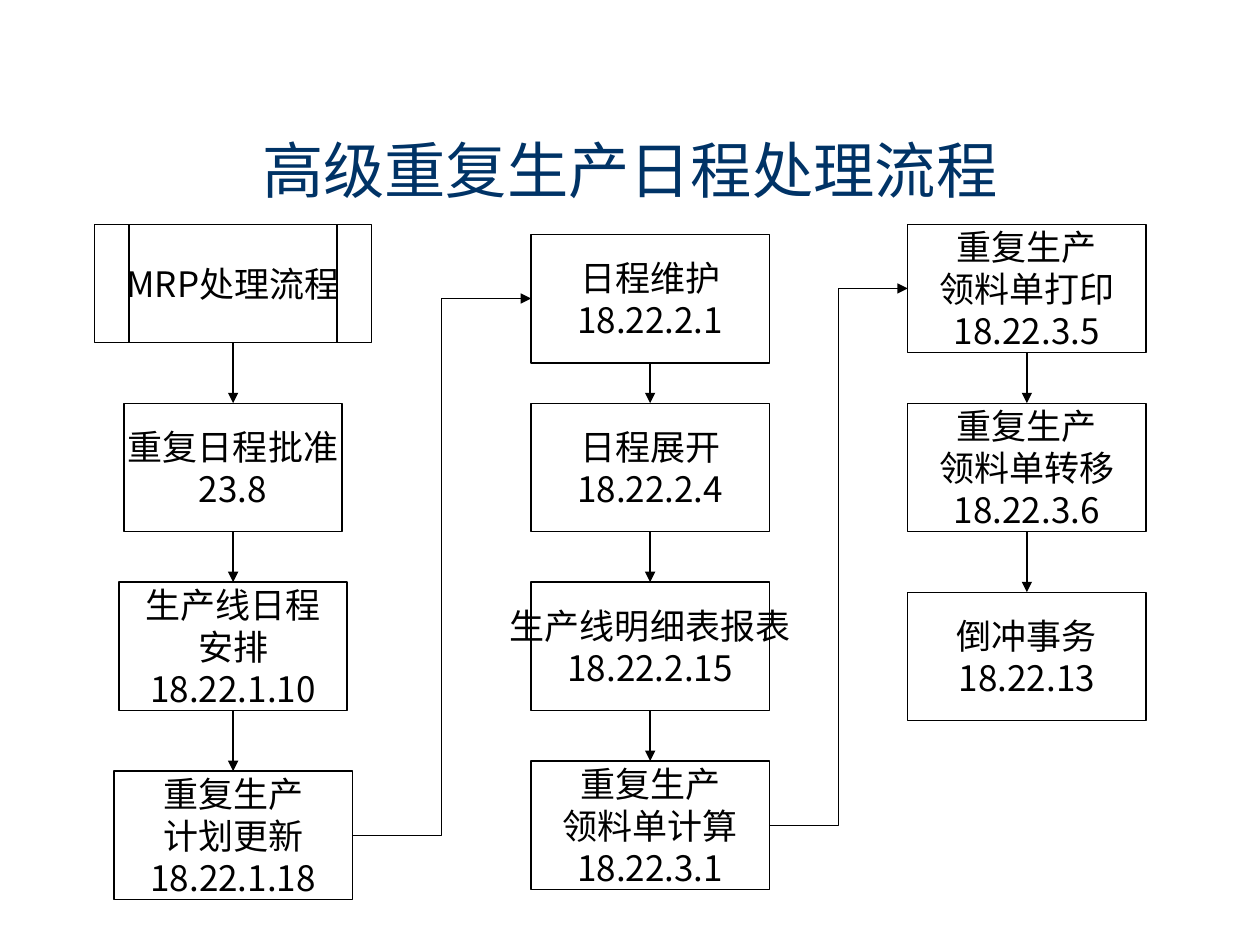
from lxml import etree
from pptx import Presentation
from pptx.dml.color import RGBColor
from pptx.enum.shapes import MSO_CONNECTOR, MSO_SHAPE
from pptx.enum.text import MSO_ANCHOR, PP_ALIGN
from pptx.oxml.ns import qn
from pptx.util import Inches, Pt

PROCESS = MSO_SHAPE.FLOWCHART_PROCESS
PREDEFINED = MSO_SHAPE.FLOWCHART_PREDEFINED_PROCESS
STRAIGHT, ELBOW = MSO_CONNECTOR.STRAIGHT, MSO_CONNECTOR.ELBOW
MIDDLE, CENTER = MSO_ANCHOR.MIDDLE, PP_ALIGN.CENTER
TOP, LEFT, BOTTOM, RIGHT = range(4)  # connection sites of a box

COLORS = {"title": "003366", "ink": "000000"}
BODY_FONT = "Noto Sans CJK SC"
COLUMN_CENTERS = [1.85, 5.16, 8.15]
FIRST_ROW, ROW_PITCH = 1.78, 1.42
NUDGE = 0.08  # some boxes sit slightly below their row
WIDTH, HEIGHT = 1.89, 1.02

# Each step: text, shape, width, height, offset from its row
COLUMNS = [
    [
        ("MRP处理流程", PREDEFINED, 2.2, 0.94, 0),
        ("重复日程批准\n23.8", PROCESS, 1.73, HEIGHT, 0),
        ("生产线日程\n安排\n18.22.1.10", PROCESS, 1.81, HEIGHT, 0),
        ("重复生产\n计划更新\n18.22.1.18", PROCESS, WIDTH, HEIGHT, NUDGE),
    ],
    [
        ("日程维护\n18.22.2.1", PROCESS, WIDTH, HEIGHT, NUDGE),
        ("日程展开\n18.22.2.4", PROCESS, WIDTH, HEIGHT, 0),
        ("生产线明细表报表\n18.22.2.15", PROCESS, WIDTH, HEIGHT, 0),
        ("重复生产\n领料单计算\n18.22.3.1", PROCESS, WIDTH, HEIGHT, 0),
    ],
    [
        ("重复生产\n领料单打印\n18.22.3.5", PROCESS, WIDTH, HEIGHT, 0),
        ("重复生产\n领料单转移\n18.22.3.6", PROCESS, WIDTH, HEIGHT, 0),
        ("倒冲事务\n18.22.13", PROCESS, WIDTH, HEIGHT, NUDGE),
    ],
]


def write_text(frame, text, *, size, font, color, east_asian=None):
    """Fill the frame with one centred paragraph per line of text."""
    frame.vertical_anchor = MIDDLE
    frame.text = text
    for para in frame.paragraphs:
        para.alignment = CENTER
        for span in para.runs:
            span.font.size = Pt(size)
            span.font.name = font
            span.font.color.rgb = RGBColor.from_string(COLORS[color])
            if east_asian:
                etree.SubElement(span.font._element, qn("a:ea"), typeface=east_asian)


def join(start, start_site, end, end_site, kind):
    """Link two boxes with an arrow pointing at the second."""
    arrow = page.shapes.add_connector(kind, 0, 0, 0, 0)
    arrow.begin_connect(start, start_site)
    arrow.end_connect(end, end_site)
    arrow.line.width = Pt(0.75)
    arrow.line.color.rgb = RGBColor.from_string(COLORS["ink"])
    etree.SubElement(arrow.line._get_or_add_ln(), qn("a:tailEnd"), type="triangle")
    etree.SubElement(arrow._element.spPr, qn("a:effectLst"))


deck = Presentation()
deck.slide_width, deck.slide_height = Inches(10), Inches(7.5)
page = deck.slides.add_slide(deck.slide_layouts[5])

title = page.shapes.title
title.left, title.top = Inches(0.75), Inches(0.72)
title.width, title.height = Inches(8.5), Inches(1.25)
write_text(title.text_frame, "高级重复生产日程处理流程",
           size=35, font="Montserrat", color="title")

chains = []
for center, steps in zip(COLUMN_CENTERS, COLUMNS):
    chain = []
    for row, (text, shape, width, height, offset) in enumerate(steps):
        top = FIRST_ROW + row * ROW_PITCH + offset
        box = page.shapes.add_shape(shape, Inches(center - width / 2), Inches(top),
                                    Inches(width), Inches(height))
        box.shadow.inherit = False
        box.fill.background()
        box.line.width = Pt(0.75)
        box.line.color.rgb = RGBColor.from_string(COLORS["ink"])
        box.text_frame.word_wrap = False
        write_text(box.text_frame, text, size=20, font=BODY_FONT,
                   color="ink", east_asian=BODY_FONT)
        chain.append(box)
    chains.append(chain)

for chain in chains:
    for upper, lower in zip(chain, chain[1:]):
        join(upper, BOTTOM, lower, TOP, STRAIGHT)
for chain, following in zip(chains, chains[1:]):
    join(chain[-1], RIGHT, following[0], LEFT, ELBOW)

deck.save("out.pptx")
